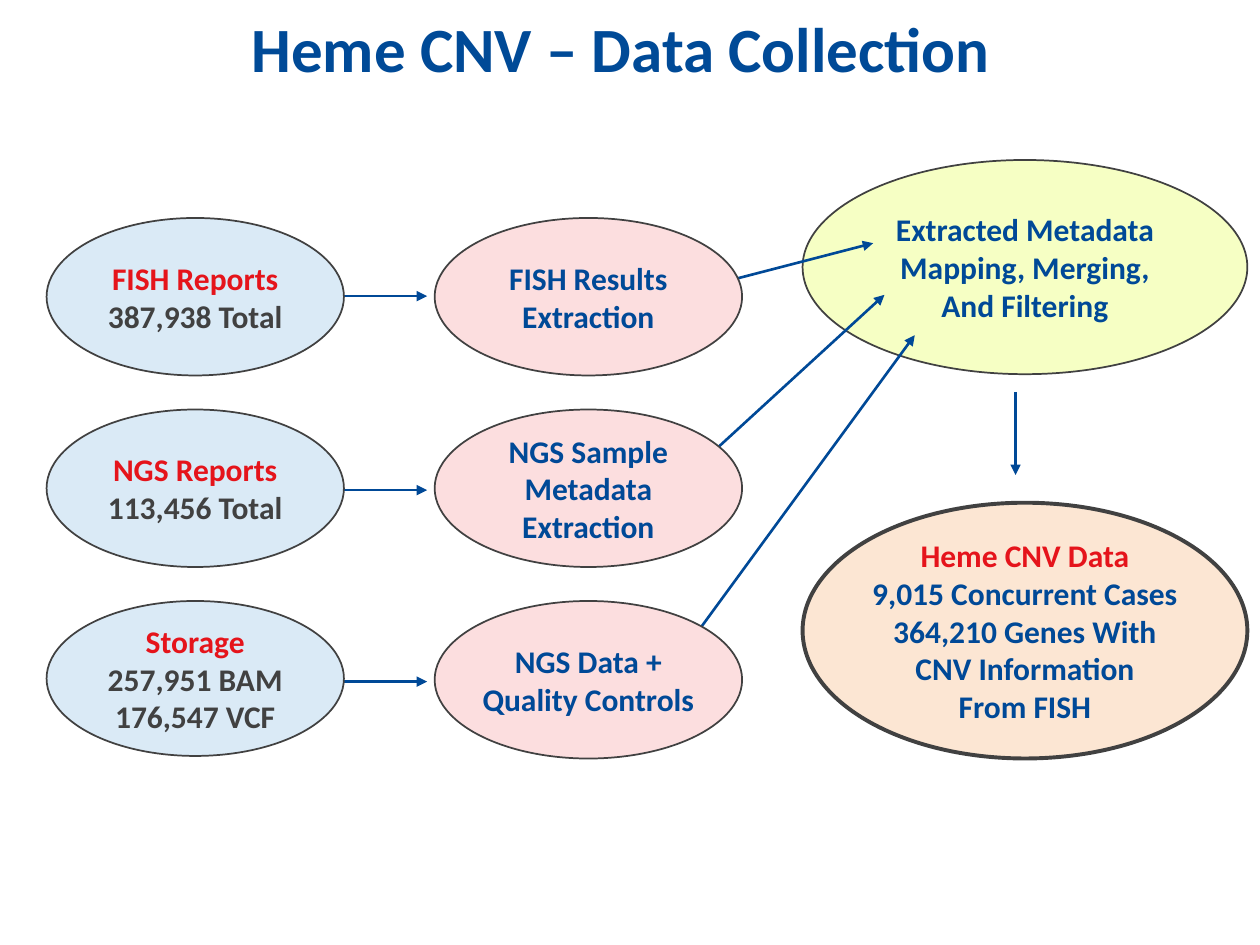
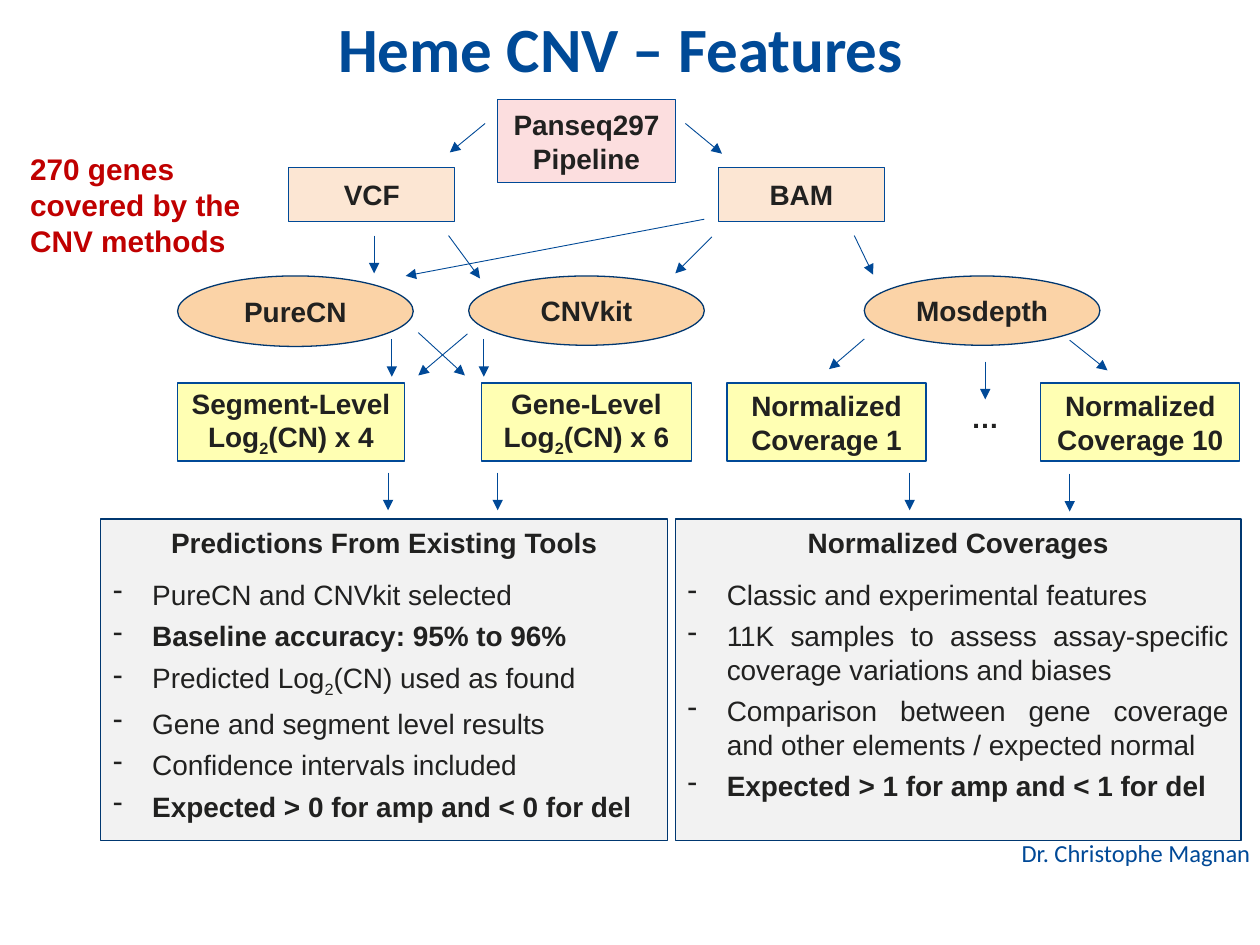
from pptx import Presentation
from pptx.dml.color import RGBColor
from pptx.enum.shapes import MSO_CONNECTOR, MSO_SHAPE
from pptx.enum.text import MSO_ANCHOR, PP_ALIGN
from pptx.oxml.ns import qn
from pptx.util import Inches, Pt
from lxml.etree import SubElement

# Shared colours
BLUE, NAVY, GRAY, INK = "004997", "003770", "414141", "212120"
RED, DARK_RED, TITLE_BLUE = "E5141B", "C00000", "004A97"
SKY, PINK, LIME, PEACH = "DAEAF6", "FCDEDF", "F6FFC4", "FCE6D3"
ORANGE, YELLOW, PALE = "FBD3A7", "FFFFB3", "F2F2F2"

# Shared text styles
TITLE = {"name": "Calibri", "size": Pt(36), "bold": True}
FLOW = {"name": "Calibri", "size": Pt(18), "bold": True}
NODE = {"name": "Arial", "size": Pt(16), "bold": True}
BODY = {**NODE, "bold": False}
CALLOUT = {**NODE, "size": Pt(17)}
CREDIT = {"name": "Calibri", "size": Pt(14), "bold": False}

SIDES = ("margin_left", "margin_top", "margin_right", "margin_bottom")
DEFAULT_INSETS = (0.1, 0.05, 0.1, 0.05)
TIGHT_INSETS = (0, 0.05, 0, 0.05)


def rgb(color):
    return RGBColor.from_string(color)


def apply(target, formats):
    for attribute, value in formats.items():
        setattr(target, attribute, value)


def set_frame(frame, insets=DEFAULT_INSETS, anchor=MSO_ANCHOR.MIDDLE, wrap=True):
    apply(frame, {"word_wrap": wrap, "vertical_anchor": anchor})
    apply(frame, {side: Inches(inset) for side, inset in zip(SIDES, insets)})


def add_line(frame, text, style, color, **paragraph_formats):
    """Append a paragraph; text between underscores becomes subscript."""
    first = frame.paragraphs[0]
    paragraph = first if not first.runs else frame.add_paragraph()
    apply(paragraph, paragraph_formats)
    for position, part in enumerate(text.split("_")):
        run = paragraph.add_run()
        run.text = part
        apply(run.font, style)
        run.font.color.rgb = rgb(color)
        if position % 2:
            run.font._element.set("baseline", "-25000")
    return paragraph


def add_label(slide, box, text, style, color, align=PP_ALIGN.LEFT,
              insets=DEFAULT_INSETS, wrap=True, **paragraph_formats):
    frame = slide.shapes.add_textbox(*map(Inches, box)).text_frame
    set_frame(frame, insets, MSO_ANCHOR.TOP, wrap)
    add_line(frame, text, style, color, alignment=align, **paragraph_formats)


def add_title(slide, text):
    add_label(slide, (0.15, 0.14, 9.65, 0.68), text, TITLE, TITLE_BLUE,
              PP_ALIGN.CENTER, (0, 0, 0.1, 0.05), line_spacing=0.9)


def add_outline(slide, kind, box, fill, border, weight):
    shape = slide.shapes.add_shape(kind, *map(Inches, box))
    shape.shadow.inherit = False
    shape.fill.solid()
    shape.fill.fore_color.rgb = rgb(fill)
    shape.line.color.rgb = rgb(border)
    shape.line.width = Pt(weight)
    return shape.text_frame


def add_node(slide, kind, box, fill, lines, style=NODE, border=BLUE,
             weight=0.75, insets=DEFAULT_INSETS):
    """Draw a filled shape with centred (text, colour) lines."""
    frame = add_outline(slide, kind, box, fill, border, weight)
    set_frame(frame, insets)
    for text, color in lines:
        add_line(frame, text, style, color, alignment=PP_ALIGN.CENTER)


def add_flow_oval(slide, box, fill, lines, weight=1, insets=DEFAULT_INSETS):
    add_node(slide, MSO_SHAPE.OVAL, box, fill, lines, FLOW, GRAY, weight, insets)


def add_arrow(slide, start, end, weight):
    arrow = slide.shapes.add_connector(
        MSO_CONNECTOR.STRAIGHT, *map(Inches, (*start, *end)))
    arrow.line.color.rgb = rgb(BLUE)
    arrow.line.width = Pt(weight)
    properties = arrow._element.spPr
    SubElement(properties.find(qn("a:ln")), qn("a:tailEnd"), type="triangle")
    SubElement(properties, qn("a:effectLst"))


def add_panel(slide, box, heading, points):
    """Draw a panel with a heading and dashed (text, is_key) points."""
    frame = add_outline(slide, MSO_SHAPE.RECTANGLE, box, PALE, NAVY, 0.75)
    set_frame(frame, anchor=MSO_ANCHOR.TOP)
    add_line(frame, heading, NODE, INK, alignment=PP_ALIGN.CENTER, space_after=Pt(4.5))
    for position, (text, is_key) in enumerate(points):
        point = add_line(frame, text, NODE if is_key else BODY, INK,
                         alignment=PP_ALIGN.JUSTIFY, space_after=Pt(4.5),
                         space_before=Pt(0 if position else 6))
        properties = point._p.get_or_add_pPr()
        properties.set("marL", str(Inches(0.31)))
        properties.set("indent", str(-Inches(0.31)))
        SubElement(properties, qn("a:buChar"), char="-")


def build_collection(slide):
    add_title(slide, "Heme CNV – Data Collection")

    # Merging step and resulting data set
    add_flow_oval(slide, (6.37, 1.27, 3.53, 1.7), LIME,
                  [("Extracted Metadata Mapping, Merging,", BLUE), ("And Filtering", BLUE)])
    add_flow_oval(slide, (6.37, 3.99, 3.53, 2.03), PEACH,
                  [("Heme CNV Data", RED), ("9,015 Concurrent Cases", BLUE),
                   ("364,210 Genes With CNV Information", BLUE), ("From FISH", BLUE)],
                  2.25, TIGHT_INSETS)

    # Arrows, partly tucked under the source and extraction ovals
    for y in (2.35, 3.89, 5.41):
        add_arrow(slide, (2.3, y), (3.39, y), 1.5)
    for start, end in (((5.35, 2.34), (6.93, 1.93)), ((5.35, 3.87), (7.02, 2.34)),
                       ((5.27, 5.38), (7.26, 2.66)), ((8.06, 3.11), (8.06, 3.77))):
        add_arrow(slide, start, end, 1.5)

    # One row per source: reports, then their extraction
    rows = [
        ("FISH Reports", ["387,938 Total"], 1.25,
         ["FISH Results", "Extraction"], DEFAULT_INSETS),
        ("NGS Reports", ["113,456 Total"], 1.25,
         ["NGS Sample Metadata Extraction"], DEFAULT_INSETS),
        ("Storage", ["257,951 BAM", "176,547 VCF"], 1.23,
         ["NGS Data + Quality Controls"], TIGHT_INSETS),
    ]
    for row, (source, counts, height, extraction, insets) in enumerate(rows):
        top = 1.73 + 1.52 * row
        add_flow_oval(slide, (0.37, top, 2.36, height), SKY,
                      [(source, RED)] + [(count, GRAY) for count in counts])
        add_flow_oval(slide, (3.45, top, 2.44, 1.25), PINK,
                      [(step, BLUE) for step in extraction], insets=insets)


def build_features(slide):
    add_title(slide, "Heme CNV – Features")

    # Pipeline and its output files
    add_node(slide, MSO_SHAPE.RECTANGLE, (3.95, 0.79, 1.41, 0.66), PINK,
             [("Panseq297", INK), ("Pipeline", INK)])
    for left, file_type in ((2.29, "VCF"), (5.7, "BAM")):
        add_node(slide, MSO_SHAPE.RECTANGLE, (left, 1.33, 1.32, 0.43), PEACH,
                 [(file_type, INK)])

    # Tools
    for left, height, tool in ((1.41, 0.56, "PureCN"), (3.72, 0.55, "CNVkit"),
                               (6.86, 0.55, "Mosdepth")):
        add_node(slide, MSO_SHAPE.OVAL, (left, 2.19, 1.87, height), ORANGE,
                 [(tool, INK)], border=NAVY)

    # Features produced by the tools
    for left, width, feature in ((1.41, 1.8, "Segment-Level Log_2_(CN) x 4"),
                                 (3.82, 1.67, "Gene-Level Log_2_(CN) x 6"),
                                 (5.77, 1.58, "Normalized Coverage 1"),
                                 (8.26, 1.58, "Normalized Coverage 10")):
        add_node(slide, MSO_SHAPE.RECTANGLE, (left, 3.04, width, 0.62), YELLOW,
                 [(feature, INK)])
    add_label(slide, (7.61, 3.13, 0.43, 0.37), "…", NODE, INK, wrap=False)

    # Summary panels
    add_panel(slide, (0.8, 4.12, 4.5, 2.55), "Predictions From Existing Tools", [
        ("PureCN and CNVkit selected", False),
        ("Baseline accuracy: 95% to 96%", True),
        ("Predicted Log_2_(CN) used as found", False),
        ("Gene and segment level results", False),
        ("Confidence intervals included", False),
        ("Expected > 0 for amp and < 0 for del", True),
    ])
    add_panel(slide, (5.36, 4.12, 4.49, 2.55), "Normalized Coverages", [
        ("Classic and experimental features", False),
        ("11K samples to assess assay-specific coverage variations and biases", False),
        ("Comparison between gene coverage and other elements / expected normal", False),
        ("Expected > 1 for amp and < 1 for del", True),
    ])

    # Straight drops between levels
    for x, y in ((2.97, 1.87), (3.11, 2.69), (3.84, 2.69), (7.82, 2.87),
                 (3.08, 3.75), (3.95, 3.75), (7.22, 3.75), (8.49, 3.76)):
        add_arrow(slide, (x, y), (x, y + 0.3), 0.5)

    # Slanted links between levels
    for start, end in (((3.85, 0.98), (3.57, 1.21)), ((5.44, 0.98), (5.73, 1.22)),
                       ((3.56, 1.87), (3.81, 2.21)), ((5.65, 1.88), (5.36, 2.17)),
                       ((6.78, 1.87), (6.93, 2.18)), ((5.59, 1.74), (3.22, 2.19)),
                       ((3.32, 2.64), (3.69, 2.98)), ((3.71, 2.65), (3.32, 2.98)),
                       ((6.86, 2.69), (6.58, 2.93)), ((8.49, 2.7), (8.79, 2.94))):
        add_arrow(slide, start, end, 0.5)

    # Callout and credit
    add_label(slide, (0.14, 1.15, 2.09, 0.96), "270 genes covered by the CNV methods",
              CALLOUT, DARK_RED)
    add_label(slide, (8.01, 6.6, 2.04, 0.34), "Dr. Christophe Magnan", CREDIT, BLUE,
              wrap=False)


def main():
    deck = Presentation()
    deck.slide_width, deck.slide_height = Inches(10), Inches(7.5)
    blank = deck.slide_layouts[6]
    for build in (build_collection, build_features):
        build(deck.slides.add_slide(blank))
    deck.save("out.pptx")


if __name__ == "__main__":
    main()
